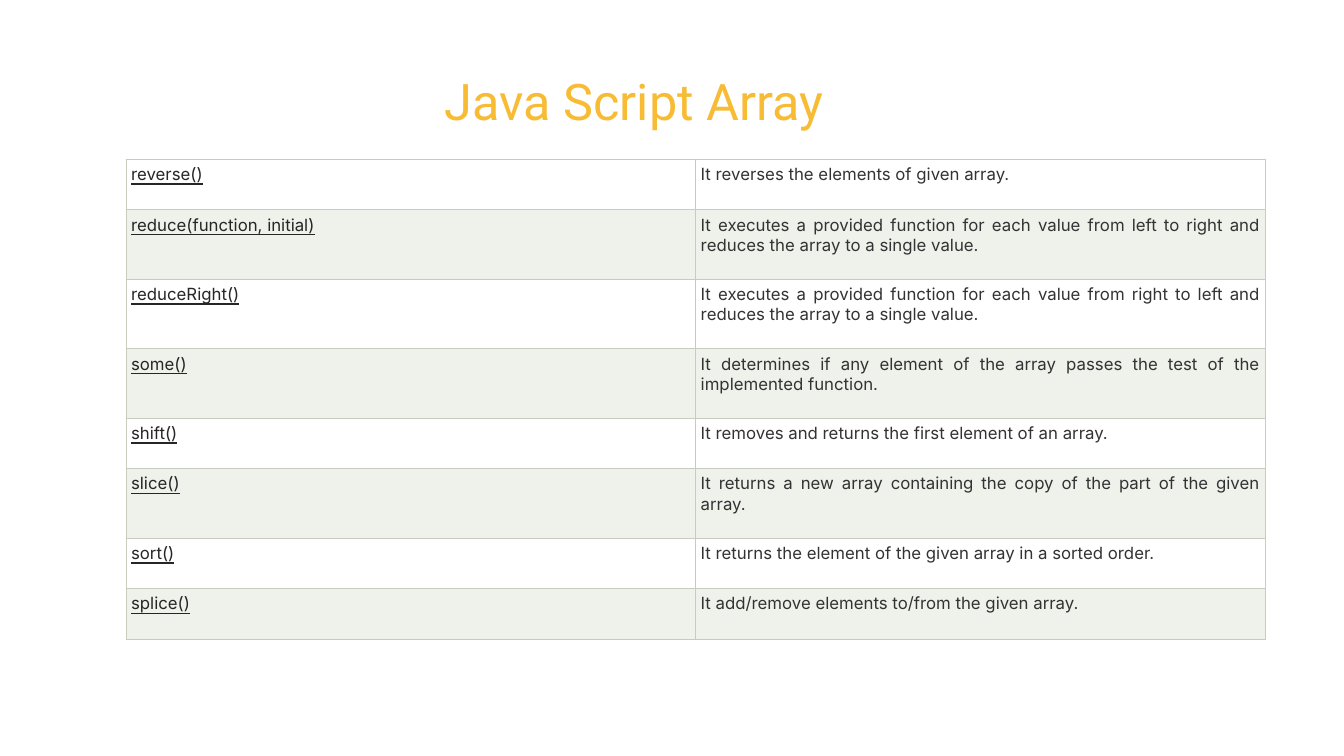
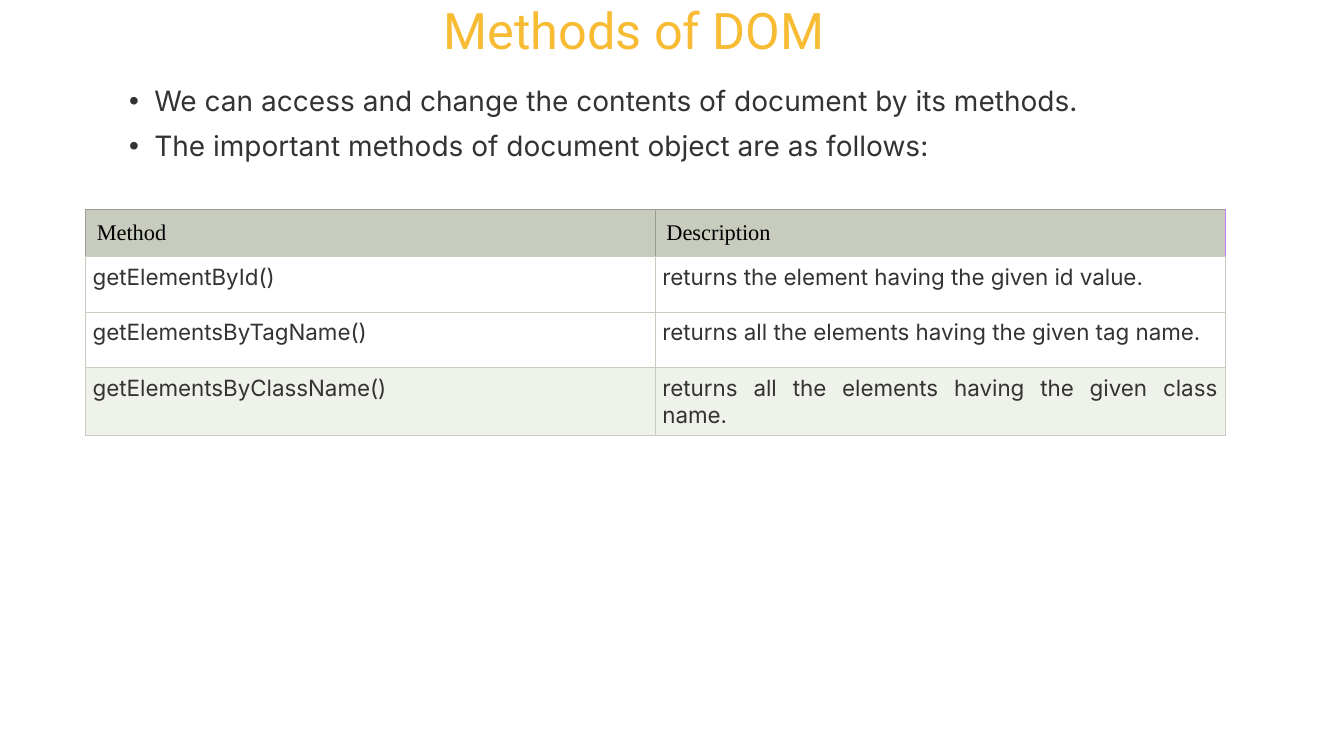
from lxml import etree
from pptx import Presentation
from pptx.dml.color import RGBColor
from pptx.enum import text
from pptx.oxml.ns import qn
from pptx.util import Inches, Pt

COLORS = {
    "title": "F7BB34", "text": "333333", "method": "262626", "black": "000000",
    "white": "FFFFFF", "band": "EFF1EB", "rule": "C7CCBE",
    "header_rule": "9A9E92", "accent": "C079EE",
}
RULES = {"L": "rule", "R": "rule", "T": "rule", "B": "rule"}
JUSTIFY = text.PP_ALIGN.JUSTIFY


def format_text(p, font, size, color, align, underline=None):
    p.alignment = align
    for r in p.runs:
        r.font.name, r.font.size = font, Pt(size)
        r.font.color.rgb = RGBColor.from_string(COLORS[color])
        r.font.underline = underline


def style_cell(cell, fill, margin, rules):
    """Set the margins, the border colour of each side, and then the fill."""
    cell.margin_left = cell.margin_right = Inches(margin)
    cell.margin_top = cell.margin_bottom = Inches(margin)
    tc_pr = cell._tc.get_or_add_tcPr()
    for side, color in rules.items():
        ln = etree.SubElement(tc_pr, qn(f"a:ln{side}"), w=str(Pt(0.75)))
        solid = etree.SubElement(ln, qn("a:solidFill"))
        etree.SubElement(solid, qn("a:srgbClr"), val=COLORS[color])
    cell.fill.solid()
    cell.fill.fore_color.rgb = RGBColor.from_string(COLORS[fill])


prs = Presentation()
prs.slide_width, prs.slide_height = Inches(13.33), Inches(7.5)

# Titles
slides = []
for layout, title, top in [(5, "Java Script Array", 0.66), (1, "Methods of DOM", -0.05)]:
    s = prs.slides.add_slide(prs.slide_layouts[layout])
    sp = s.shapes.title
    sp.left, sp.top, sp.width, sp.height = Inches(0.64), Inches(top), Inches(11.3), Inches(0.75)
    sp.fill.solid()
    sp.fill.fore_color.rgb = RGBColor.from_string(COLORS["white"])
    tf = sp.text_frame
    tf.text = title
    tf.auto_size = text.MSO_AUTO_SIZE.NONE
    tf.vertical_anchor = text.MSO_ANCHOR.MIDDLE
    tf.margin_left = tf.margin_right = tf.margin_top = tf.margin_bottom = Inches(0.13)
    p = tf.paragraphs[0]
    p.line_spacing = 0.9
    format_text(p, "Roboto", 36, "title", text.PP_ALIGN.CENTER)
    slides.append(s)
array_slide, dom_slide = slides

# Bullets above the DOM table
body = dom_slide.placeholders[1]
body.left, body.top, body.width, body.height = Inches(1.18), Inches(0.82), Inches(10.83), Inches(5.05)
tf = body.text_frame
tf.text = ("We can access and change the contents of document by its methods.\n"
           "The important methods of document object are as follows:")
tf.auto_size = text.MSO_AUTO_SIZE.NONE
for i, p in enumerate(tf.paragraphs):
    p_pr = p._p.get_or_add_pPr()
    p_pr.set("marL", str(Inches(0.25)))
    p_pr.set("indent", str(-Inches(0.25)))
    etree.SubElement(p_pr, qn("a:buChar"), char="•")
    p.line_spacing = 0.9
    p.space_before = Pt(10 if i else 0)
    format_text(p, "Inter", 20, "text", JUSTIFY)

# Tables
array_rows = [
    ("reverse()", "It reverses the elements of given array.", 0.5),
    ("reduce(function, initial)", "It executes a provided function for each value from left to right "
     "and reduces the array to a single value.", 0.69),
    ("reduceRight()", "It executes a provided function for each value from right to left "
     "and reduces the array to a single value.", 0.69),
    ("some()", "It determines if any element of the array passes the test of the "
     "implemented function.", 0.69),
    ("shift()", "It removes and returns the first element of an array.", 0.5),
    ("slice()", "It returns a new array containing the copy of the part of the given array.", 0.69),
    ("sort()", "It returns the element of the given array in a sorted order.", 0.5),
    ("splice()", "It add/remove elements to/from the given array.", 0.5),
]
dom_rows = [
    ("Method", "Description", 0.43),
    ("getElementById()", "returns the element having the given id value.", 0.55),
    ("getElementsByTagName()", "returns all the elements having the given tag name.", 0.55),
    ("getElementsByClassName()", "returns all the elements having the given class name.", 0.55),
]
tables = [
    (array_slide, 1.25, 1.58, array_rows, 12, 0.05, {1, 3, 5, 7}, False),
    (dom_slide, 0.85, 2.08, dom_rows, 16, 0.07, {3}, True),
]
for s, left, top, rows, size, margin, banded, has_header in tables:
    height = sum(row[2] for row in rows)
    table = s.shapes.add_table(len(rows), 2, Inches(left), Inches(top),
                               Inches(11.3), Inches(height)).table
    table.first_row, table.horz_banding = has_header, False
    for i, (method, description, row_height) in enumerate(rows):
        table.rows[i].height = Inches(row_height)
        for j, words in enumerate((method, description)):
            cell = table.cell(i, j)
            cell.text = words
            p = cell.text_frame.paragraphs[0]
            if has_header and i == 0:
                right = "accent" if j else "header_rule"
                style_cell(cell, "rule", 0.11,
                           {"L": "header_rule", "R": right, "T": "header_rule", "B": "rule"})
                format_text(p, "Times New Roman", size, "black", text.PP_ALIGN.LEFT)
                p.runs[0].font.bold = False
            else:
                linked = j == 0 and not has_header
                style_cell(cell, "band" if i in banded else "white", margin, RULES)
                format_text(p, "Inter", size, "method" if linked else "text", JUSTIFY, linked)

prs.save("out.pptx")
